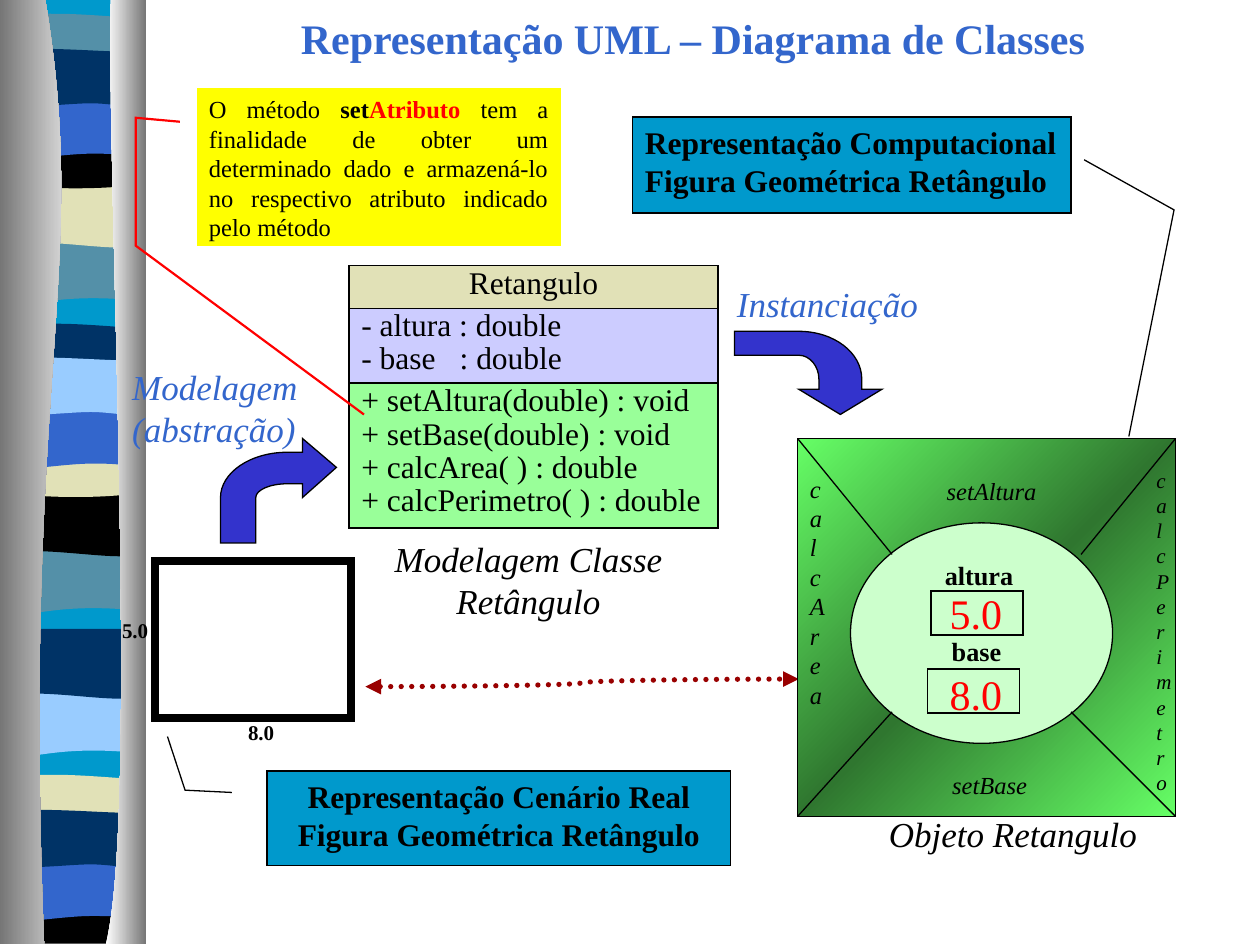
"""Builds a slide on UML class diagrams: real scene, class model and instantiated object."""
from copy import deepcopy
from dataclasses import dataclass, replace
from typing import NamedTuple, Optional

from lxml.etree import SubElement
from pptx import Presentation
from pptx.dml.color import RGBColor
from pptx.enum.dml import MSO_LINE
from pptx.enum.shapes import MSO_CONNECTOR, MSO_SHAPE
from pptx.enum.text import MSO_ANCHOR, PP_ALIGN
from pptx.oxml.ns import qn
from pptx.util import Emu, Pt

EMU_PER_PX = 9144
FONT = "Times New Roman"
BLACK = RGBColor(0x00, 0x00, 0x00)
WHITE = RGBColor(0xFF, 0xFF, 0xFF)
GRAY = RGBColor(0x76, 0x76, 0x76)
TEAL = RGBColor(0x00, 0x99, 0xCC)
STEEL = RGBColor(0x54, 0x90, 0xA8)
SAND = RGBColor(0xE1, 0xE1, 0xB7)
BLUE = RGBColor(0x33, 0x66, 0xCC)
NAVY = RGBColor(0x00, 0x33, 0x66)
SKY = RGBColor(0x99, 0xCC, 0xFF)
INDIGO = RGBColor(0x33, 0x33, 0xCC)
LAVENDER = RGBColor(0xCC, 0xCC, 0xFF)
MINT = RGBColor(0x99, 0xFF, 0x99)
PALE_GREEN = RGBColor(0xCC, 0xFF, 0xCC)
BRIGHT_GREEN = RGBColor(0x66, 0xFF, 0x66)
DARK_GREEN = RGBColor(0x2F, 0x76, 0x2F)
MAROON = RGBColor(0x99, 0x00, 0x00)
RED = RGBColor(0xFF, 0x00, 0x00)
YELLOW = RGBColor(0xFF, 0xFF, 0x00)


class Style(NamedTuple):
    size: int
    color: RGBColor = BLACK
    bold: bool = False
    italic: bool = False


class Band(NamedTuple):
    wave: str
    top: int
    color: RGBColor


@dataclass(frozen=True)
class Box:
    left: int
    top: int
    width: int
    height: int
    lines: tuple = ()
    style: Style = Style(18)
    align: PP_ALIGN = PP_ALIGN.LEFT
    kind: Optional[MSO_SHAPE] = None
    fill: Optional[RGBColor] = None
    line: Optional[RGBColor] = None
    line_width: float = 0.75
    adjustments: tuple = ()
    line_spacing: float = 1.0
    space_before: float = 0
    wrap: bool = True


WAVES = {
    "ramp": [(114, 0), (114, 54), (39, 46, 24, 62, 5, 54), (5, 0)],
    "hump": [(114, 0), (114, 53), (96, 61, 39, 47, 6, 53), (6, 0)],
    "cap": [(114, -1), (114, 29), (96, 34, 24, 34, 5, 29), (5, -1),
            (12, -6, 29, -5, 47, -5), (65, -5, 100, -2, 114, -1)],
    "sag": [(114, 0), (114, 37), (96, 43, 24, 43, 6, 37), (6, 0), (72, 5, 91, 0, 114, 0)],
    "arch": [(114, 0), (114, 53), (97, 48, 90, 48, 72, 48), (54, 48, 22, 53, 6, 53), (6, 0)],
    "ripple": [(114, 0), (114, 41), (107, 46, 90, 41, 72, 41), (54, 41, 17, 46, 5, 41),
               (5, 0), (21, -5, 79, 0, 97, 0), (114, 0)],
    "floor": [(114, 0), (114, 37), (6, 37), (5, 0), (71, 5, 90, 0, 114, 0)],
    "backdrop": [(114, 0), (114, 747), (5, 747), (5, 0)],
}
BANDS = [
    Band("backdrop", 0, TEAL), Band("ramp", 185, STEEL), Band("hump", 141, SAND),
    Band("cap", 16, STEEL), Band("sag", 108, BLACK), Band("arch", 74, BLUE),
    Band("ripple", 41, NAVY), Band("ramp", 431, STEEL), Band("hump", 386, BLACK),
    Band("cap", 262, NAVY), Band("sag", 353, SAND), Band("arch", 320, BLUE),
    Band("ripple", 286, SKY), Band("ramp", 544, SKY), Band("hump", 499, NAVY),
    Band("cap", 620, SAND), Band("floor", 712, BLACK), Band("arch", 679, BLUE),
    Band("ripple", 645, NAVY),
]
LEFT_EDGE = [(36, 0), (72, 216, 17, 296, 35, 749), (0, 749), (0, 0)]
RIGHT_EDGE = [(88, 0), (84, 125, 111, 646, 84, 749), (116, 749), (116, 0)]
INSTANCE_ARROW = [(667, 329), (700, 309), (684, 309), (684, 301), (684, 280, 662, 263, 634, 263),
                  (583, 263), (583, 282), (634, 282), (643, 282, 650, 291, 650, 301),
                  (650, 309), (634, 309)]
MODEL_ARROW = [(267, 371), (240, 348), (240, 359), (228, 359), (199, 359, 175, 375, 175, 395),
               (175, 431), (203, 431), (203, 395), (203, 389, 214, 384, 228, 384),
               (240, 384), (240, 395)]

CENTER = PP_ALIGN.CENTER
RECTANGLE = MSO_SHAPE.RECTANGLE
CAPTION = Style(20, italic=True)
STEP = Style(20, BLUE, italic=True)
HEADING = Style(18, bold=True)
METHOD = Style(14, italic=True)
FIELD = Style(15, bold=True)
MEASURE = Style(12, bold=True)
NOTE = Style(14)

COMPARTMENT = Box(277, 0, 293, 0, kind=RECTANGLE, line=BLACK, line_spacing=0.75,
                  space_before=2.7)
CLASS_MODEL = [
    replace(COMPARTMENT, top=244, height=60, fill=LAVENDER,
            lines=("- altura : double", "- base\t: double")),
    replace(COMPARTMENT, top=211, height=34, fill=SAND, lines=("Retangulo",), align=CENTER),
    replace(COMPARTMENT, top=304, height=115, fill=MINT,
            lines=("+ setAltura(double) : void", "+ setBase(double) : void",
                   "+ calcArea( ) : double", "+ calcPerimetro( ) : double")),
    Box(273, 422, 293, 77, ("Modelagem Classe Retângulo",), CAPTION, CENTER),
]
CALLOUT = Box(0, 0, 0, 0, style=HEADING, kind=MSO_SHAPE.LINE_CALLOUT_2, fill=TEAL, line=BLACK)
REAL_SCENE = [
    Box(123, 445, 156, 125, kind=RECTANGLE, line=BLACK, line_width=4.5),
    replace(CALLOUT, left=212, top=612, width=368, height=75, align=CENTER,
            lines=("Representação Cenário Real", "Figura Geométrica Retângulo"),
            adjustments=(0.226, -0.076, 0.202, -0.177, -0.366, -0.215)),
    replace(CALLOUT, left=502, top=93, width=348, height=76,
            lines=("Representação Computacional", "Figura Geométrica Retângulo"),
            adjustments=(0.446, 1.03, 0.969, 1.235, 3.335, 1.132)),
    Box(187, 566, 49, 30, ("8.0",), MEASURE),
    Box(87, 485, 49, 30, ("5.0",), MEASURE),
]
OBJECT_CAPTION = Box(675, 640, 258, 44, ("Objeto Retangulo",), CAPTION, CENTER)
OBJECT_FRAME = Box(633, 348, 300, 300, kind=RECTANGLE, line=BLACK)
OBJECT_CORE = [
    Box(675, 415, 208, 175, kind=MSO_SHAPE.OVAL, fill=PALE_GREEN, line=BLACK),
    Box(735, 461, 79, 116, ("5.0", "8.0"), Style(24, RED), CENTER, RECTANGLE, PALE_GREEN,
        space_before=18),
]
DIAGONALS = [(633, 348, 708, 440), (633, 648, 708, 565), (933, 648, 850, 565),
             (933, 348, 858, 440)]
OBJECT_LABELS = [
    Box(708, 373, 158, 34, ("setAltura",), METHOD, CENTER),
    Box(698, 606, 175, 34, ("setBase",), METHOD, CENTER),
    Box(633, 371, 25, 199, ("calcArea",), METHOD),
    Box(908, 366, 25, 273, ("calcPerimetro",), Style(12, italic=True)),
    Box(728, 439, 98, 35, ("altura",), FIELD, CENTER),
    Box(739, 469, 73, 35, kind=RECTANGLE, line=BLACK),
    Box(726, 499, 98, 35, ("base",), FIELD, CENTER),
    Box(736, 531, 73, 35, kind=RECTANGLE, line=BLACK),
]
TITLE = Box(185, 13, 730, 43, ("Representação UML – Diagrama de Classes",),
            Style(24, BLUE, bold=True), CENTER, line_spacing=0.8)
SETTER_NOTE = Box(156, 70, 289, 125, ("O método ",), NOTE, PP_ALIGN.JUSTIFY,
                  MSO_SHAPE.LINE_CALLOUT_3_NO_BORDER, YELLOW, RED, 1.25,
                  (0.213, -0.046, 0.188, -0.167, 1, -0.167, 2.072, 0.46))


def px(value: float) -> Emu:
    return Emu(round(value * EMU_PER_PX))


def paint(shape, fill: Optional[RGBColor], line: Optional[RGBColor], width: float = 0.75) -> None:
    shape.shadow.inherit = False
    for target, color in ((shape.fill, fill), (shape.line.fill, line)):
        if color is None:
            target.background()
        else:
            target.solid()
            target.fore_color.rgb = color
    if line is not None:
        shape.line.width = Pt(width)
        SubElement(shape._element.spPr.find(qn("a:ln")), qn("a:miter"), lim="800000")


def paint_gradient(shape, angle: int, *colors: RGBColor) -> None:
    shape.fill.gradient()
    shape.fill.gradient_angle = angle
    stop_list = shape._element.spPr.find(".//" + qn("a:gsLst"))
    while len(stop_list) < len(colors):
        stop_list.append(deepcopy(stop_list[0]))
    for index, (stop, color) in enumerate(zip(shape.fill.gradient_stops, colors)):
        stop.position = index / (len(colors) - 1)
        stop.color.rgb = color


def add_run(paragraph, text: str, style: Style) -> None:
    run = paragraph.add_run()
    run.text = text
    run.font.name, run.font.size = FONT, Pt(style.size)
    run.font.bold, run.font.italic = style.bold, style.italic
    run.font.color.rgb = style.color


def draw_box(slide, box: Box):
    area = [px(value) for value in (box.left, box.top, box.width, box.height)]
    if box.kind is None:
        shape = slide.shapes.add_textbox(*area)
    else:
        shape = slide.shapes.add_shape(box.kind, *area)
        paint(shape, box.fill, box.line, box.line_width)
    for index, value in enumerate(box.adjustments):
        shape.adjustments[index] = value
    frame = shape.text_frame
    frame.word_wrap, frame.vertical_anchor = box.wrap, MSO_ANCHOR.TOP
    for index, text in enumerate(box.lines):
        paragraph = frame.add_paragraph() if index else frame.paragraphs[0]
        if "\t" in text:
            tabs = SubElement(paragraph._p.get_or_add_pPr(), qn("a:tabLst"))
            SubElement(tabs, qn("a:tab"), pos=str(px(78)), algn="l")
        paragraph.alignment, paragraph.line_spacing = box.align, box.line_spacing
        if index and box.space_before:
            paragraph.space_before = Pt(box.space_before)
        add_run(paragraph, text, box.style)
    return shape


def draw_outline(slide, segments: list, fill: RGBColor, line: Optional[RGBColor] = None, top: int = 0):
    pairs = [list(zip(segment[::2], segment[1::2])) for segment in segments]
    corners = [(px(x), px(y + top)) for group in pairs for x, y in group]
    builder = slide.shapes.build_freeform(*corners[0], scale=1.0)
    builder.add_line_segments(corners[1:], close=True)
    shape = builder.convert_to_shape()
    steps = iter(shape._element.spPr.findall(".//" + qn("a:lnTo")))
    for group in pairs[1:]:
        step = next(steps)
        if len(group) == 3:
            step.tag = qn("a:cubicBezTo")
            for control in (next(steps), next(steps)):
                step.append(control[0])
                control.getparent().remove(control)
    paint(shape, fill, line)
    return shape


def draw_line(slide, ends: tuple, color: RGBColor = BLACK, width: float = 0.75,
              kind: MSO_CONNECTOR = MSO_CONNECTOR.STRAIGHT, dotted_arrow: bool = False) -> None:
    connector = slide.shapes.add_connector(kind, *[px(value) for value in ends])
    connector.line.color.rgb = color
    connector.line.width = Pt(width)
    if dotted_arrow:
        connector.line.dash_style = MSO_LINE.ROUND_DOT
        outline = connector._element.spPr.find(qn("a:ln"))
        outline.set("cap", "rnd")
        for end in ("a:headEnd", "a:tailEnd"):
            SubElement(outline, qn(end), type="triangle")
    SubElement(connector._element.spPr, qn("a:effectLst"))


def draw_boxes(slide, boxes: list) -> None:
    for box in boxes:
        draw_box(slide, box)


def main() -> None:
    presentation = Presentation()
    presentation.slide_width, presentation.slide_height = px(1000), px(750)
    slide = presentation.slides.add_slide(presentation.slide_layouts[6])
    for band in BANDS:
        draw_outline(slide, WAVES[band.wave], band.color, top=band.top)
    paint_gradient(draw_outline(slide, LEFT_EDGE, GRAY), 0, GRAY, WHITE)
    paint_gradient(draw_outline(slide, RIGHT_EDGE, GRAY), 0, WHITE, GRAY)
    draw_boxes(slide, CLASS_MODEL)
    draw_outline(slide, INSTANCE_ARROW, INDIGO, BLACK)
    draw_box(slide, Box(575, 219, 200, 44, ("Instanciação",), STEP))
    draw_line(slide, (290, 545, 634, 539), MAROON, 3, MSO_CONNECTOR.CURVE, dotted_arrow=True)
    draw_boxes(slide, REAL_SCENE)
    draw_outline(slide, MODEL_ARROW, INDIGO, BLACK)
    draw_box(slide, Box(95, 285, 152, 77, ("Modelagem", "(abstração)"), STEP, wrap=False))
    draw_box(slide, OBJECT_CAPTION)
    paint_gradient(draw_box(slide, OBJECT_FRAME), 315, BRIGHT_GREEN, DARK_GREEN, BRIGHT_GREEN)
    draw_boxes(slide, OBJECT_CORE)
    for diagonal in DIAGONALS:
        draw_line(slide, diagonal)
    draw_boxes(slide, OBJECT_LABELS)
    draw_box(slide, TITLE)
    paragraph = draw_box(slide, SETTER_NOTE).text_frame.paragraphs[0]
    add_run(paragraph, "set", Style(14, bold=True))
    add_run(paragraph, "Atributo ", Style(14, RED, bold=True))
    add_run(paragraph, "tem a finalidade de obter um determinado dado e armazená-lo "
                       "no respectivo atributo indicado pelo método", NOTE)
    presentation.save("out.pptx")


if __name__ == "__main__":
    main()
